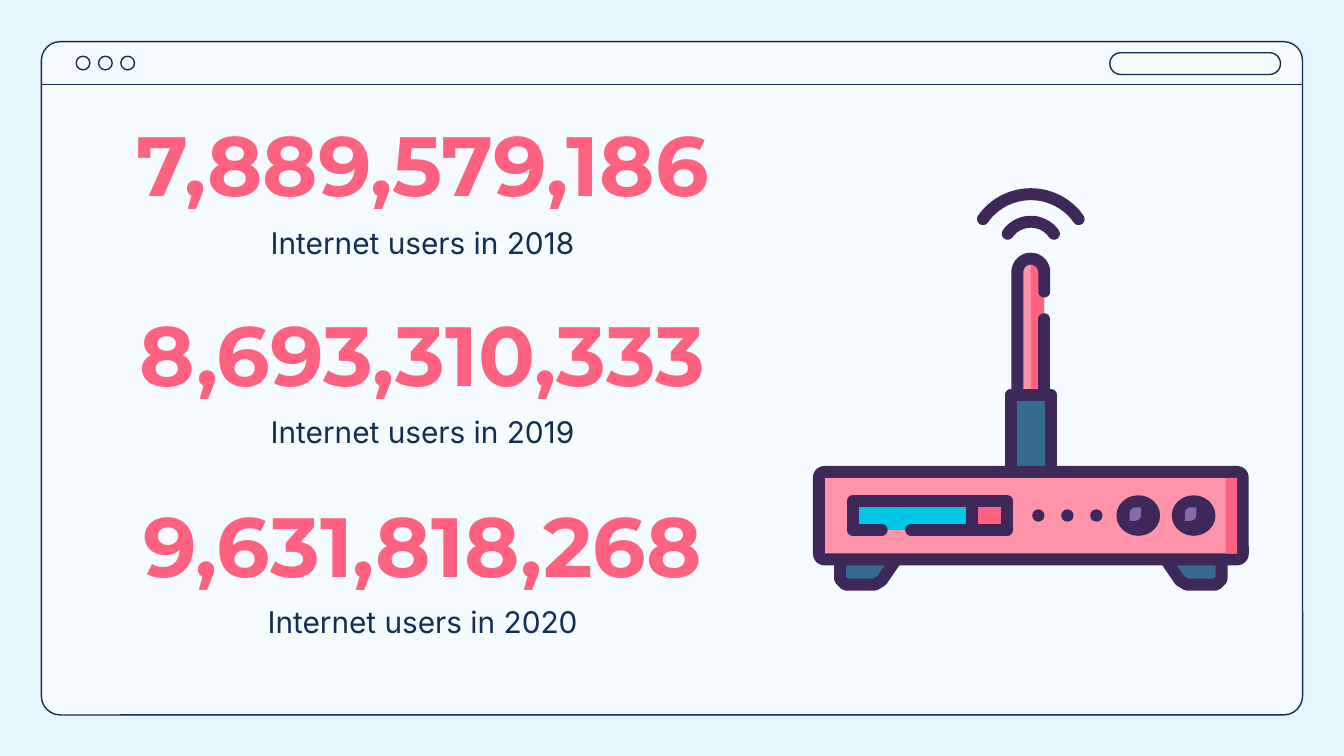
import math

import lxml.etree
import pptx
import pptx.dml.color
import pptx.enum.shapes
import pptx.enum.text
import pptx.oxml.ns
import pptx.util

SHAPES = pptx.enum.shapes.MSO_SHAPE
ANCHORS = pptx.enum.text.MSO_ANCHOR
WIDTH = pptx.util.Inches(10)
HEIGHT = WIDTH * 9 // 16
COLUMNS = 100
CELL = WIDTH / COLUMNS

NAVY = "112E54"
PINK = "FF6180"
ROSE = "FF93A9"
STEEL = "356B90"
CYAN = "00C7E6"
PURPLE = "3E285A"
LILAC = "866AAC"
OUTLINE = 6.4

STATISTICS = [
    ("7,889,579,186", "Internet users in 2018"),
    ("8,693,310,333", "Internet users in 2019"),
    ("9,631,818,268", "Internet users in 2020"),
]
NUMBER_FORMAT = {"name": "Montserrat", "size": pptx.util.Pt(45), "bold": True}
CAPTION_FORMAT = {"name": "Inter", "size": pptx.util.Pt(16), "bold": False}


def grid(*cells):
    return [round(cell * CELL) for cell in cells]


def paint(color_format, color):
    color_format.rgb = pptx.dml.color.RGBColor.from_string(color)


def fill(shape, color):
    if color:
        shape.fill.solid()
        paint(shape.fill.fore_color, color)
    else:
        shape.fill.background()


def outline(shape, color, width):
    if not color:
        shape.line.fill.background()
        return
    shape.line.width = pptx.util.Pt(width)
    paint(shape.line.color, color)
    if width == OUTLINE:
        line = shape._element.spPr.find(pptx.oxml.ns.qn("a:ln"))
        line.set("cap", "rnd")
        lxml.etree.SubElement(line, pptx.oxml.ns.qn("a:round"))


def add_preset(slide, kind, box, color=None, line=None, width=0.75, corner=None):
    shape = slide.shapes.add_shape(kind, *grid(*box))
    shape.shadow.inherit = False
    fill(shape, color)
    outline(shape, line, width)
    if corner is not None:
        shape.adjustments[0] = corner


def add_outline(slide, points, color=None, closed=False):
    start, *rest = [grid(*point) for point in points]
    builder = slide.shapes.build_freeform(*start)
    builder.add_line_segments(rest, close=closed)
    shape = builder.convert_to_shape()
    shape.shadow.inherit = False
    fill(shape, color)
    outline(shape, PURPLE, OUTLINE)


def add_line(slide, start, end, color, width):
    connector = slide.shapes.add_connector(
        pptx.enum.shapes.MSO_CONNECTOR.STRAIGHT, *grid(*start, *end))
    outline(connector, color, width)
    lxml.etree.SubElement(connector._element.spPr, pptx.oxml.ns.qn("a:effectLst"))


def arc(center, radius, half_angle, steps=24):
    angles = [math.radians(half_angle * (2 * step / steps - 1)) for step in range(steps + 1)]
    return [(center[0] + radius * math.sin(angle), center[1] - radius * math.cos(angle))
            for angle in angles]


def write_text(shape, box, text, color, font_format, anchor):
    shape.left, shape.top, shape.width, shape.height = grid(*box)
    frame = shape.text_frame
    frame.text = text
    margin = pptx.util.Inches(0.1)
    frame_format = {
        "word_wrap": True, "auto_size": pptx.enum.text.MSO_AUTO_SIZE.NONE,
        "vertical_anchor": anchor, "margin_left": margin, "margin_right": margin,
        "margin_top": margin, "margin_bottom": margin,
    }
    for name, value in frame_format.items():
        setattr(frame, name, value)
    paragraph = frame.paragraphs[0]
    paragraph.alignment = pptx.enum.text.PP_ALIGN.CENTER
    font = paragraph.runs[0].font
    for name, value in font_format.items():
        setattr(font, name, value)
    paint(font.color, color)


def add_window(slide):
    add_preset(slide, SHAPES.ROUNDED_RECTANGLE, (3.08, 3.1, 93.84, 50.1), "F5FBFF", NAVY, corner=0.028)
    for index in range(3):
        add_preset(slide, SHAPES.OVAL, (5.67 + 1.66 * index, 4.18, 1.02, 1.02), line=NAVY)
    add_preset(slide, SHAPES.ROUNDED_RECTANGLE, (82.58, 3.92, 12.7, 1.62), line=NAVY, corner=0.5)
    add_line(slide, (3.08, 6.3), (96.92, 6.3), NAVY, 0.75)


def add_statistics(slide):
    for index, (number, caption) in enumerate(STATISTICS):
        top = 8.5 + 14.15 * index
        number_shape = slide.shapes.title if index == 0 else slide.shapes.add_textbox(0, 0, 0, 0)
        write_text(number_shape, (7.75, top, 47.4, 8.4), number, PINK, NUMBER_FORMAT, ANCHORS.BOTTOM)
        caption_shape = slide.shapes.add_textbox(0, 0, 0, 0)
        write_text(caption_shape, (7.75, 15.7 + 14.1 * index, 47.4, 3.9), caption, NAVY,
                   CAPTION_FORMAT, ANCHORS.TOP)


def add_antenna(slide):
    center, left, right = 76.7, 75.7, 77.7
    dome = arc((center, 20.25), 1, 90)
    add_preset(slide, SHAPES.ROUND_2_SAME_RECTANGLE, (left, 19.25, 2, 10.15), ROSE, corner=0.5)
    add_preset(slide, SHAPES.ROUND_1_RECTANGLE, (center, 19.25, 1, 10.15), PINK, corner=0.5)
    add_outline(slide, [(left, 29.4), *dome, (right, 21.7)])
    add_line(slide, (right, 23.75), (right, 29.4), PURPLE, OUTLINE)
    add_preset(slide, SHAPES.RECTANGLE, (75.2, 29.4, 3, 5.7), STEEL, PURPLE, OUTLINE)
    for radius, middle in ((2.1, 18.6), (4.35, 18.8)):
        add_outline(slide, arc((center, middle), radius, 55))


def add_body(slide):
    center = 76.7
    for side in (-1, 1):
        foot = [(14.2, 41.6), (14.2, 43.1), (13.8, 43.5), (11.6, 43.5), (11.1, 43.2), (10, 41.6)]
        add_outline(slide, [(center + side * x, y) for x, y in foot], STEEL, closed=True)
    add_preset(slide, SHAPES.ROUNDED_RECTANGLE, (60.93, 35.12, 31.54, 6.5), ROSE, PURPLE, OUTLINE, 0.06)
    add_preset(slide, SHAPES.RECTANGLE, (91.2, 35.55, 0.85, 5.65), PINK)


def add_controls(slide):
    left, divider, right, top, bottom = 63.45, 72.3, 74.92, 37.3, 39.43
    add_preset(slide, SHAPES.RECTANGLE, (left, top, divider - left, bottom - top), CYAN)
    add_preset(slide, SHAPES.RECTANGLE, (divider, top, right - divider, bottom - top), PINK)
    add_outline(slide, [(65.6, bottom), (left, bottom), (left, top),
                        (right, top), (right, bottom), (67.8, bottom)])
    add_line(slide, (divider, top), (divider, bottom), PURPLE, OUTLINE)
    for index in range(3):
        add_preset(slide, SHAPES.OVAL, (76.8 + 2.16 * index, 37.9, 0.92, 0.92), PURPLE)
    for index in range(2):
        knob = 83.07 + 4.12 * index
        add_preset(slide, SHAPES.OVAL, (knob, 36.85, 3.25, 3.02), PURPLE)
        add_preset(slide, SHAPES.ROUND_2_DIAG_RECTANGLE, (knob + 0.98, 37.75, 0.85, 1), LILAC, corner=0.5)


def main():
    presentation = pptx.Presentation()
    presentation.slide_width = WIDTH
    presentation.slide_height = HEIGHT
    slide = presentation.slides.add_slide(presentation.slide_layouts[5])
    fill(slide.background, "E4F5FB")
    add_window(slide)
    title = slide.shapes.title._element
    title.getparent().append(title)
    add_statistics(slide)
    add_antenna(slide)
    add_body(slide)
    add_controls(slide)
    presentation.save("out.pptx")


if __name__ == "__main__":
    main()
